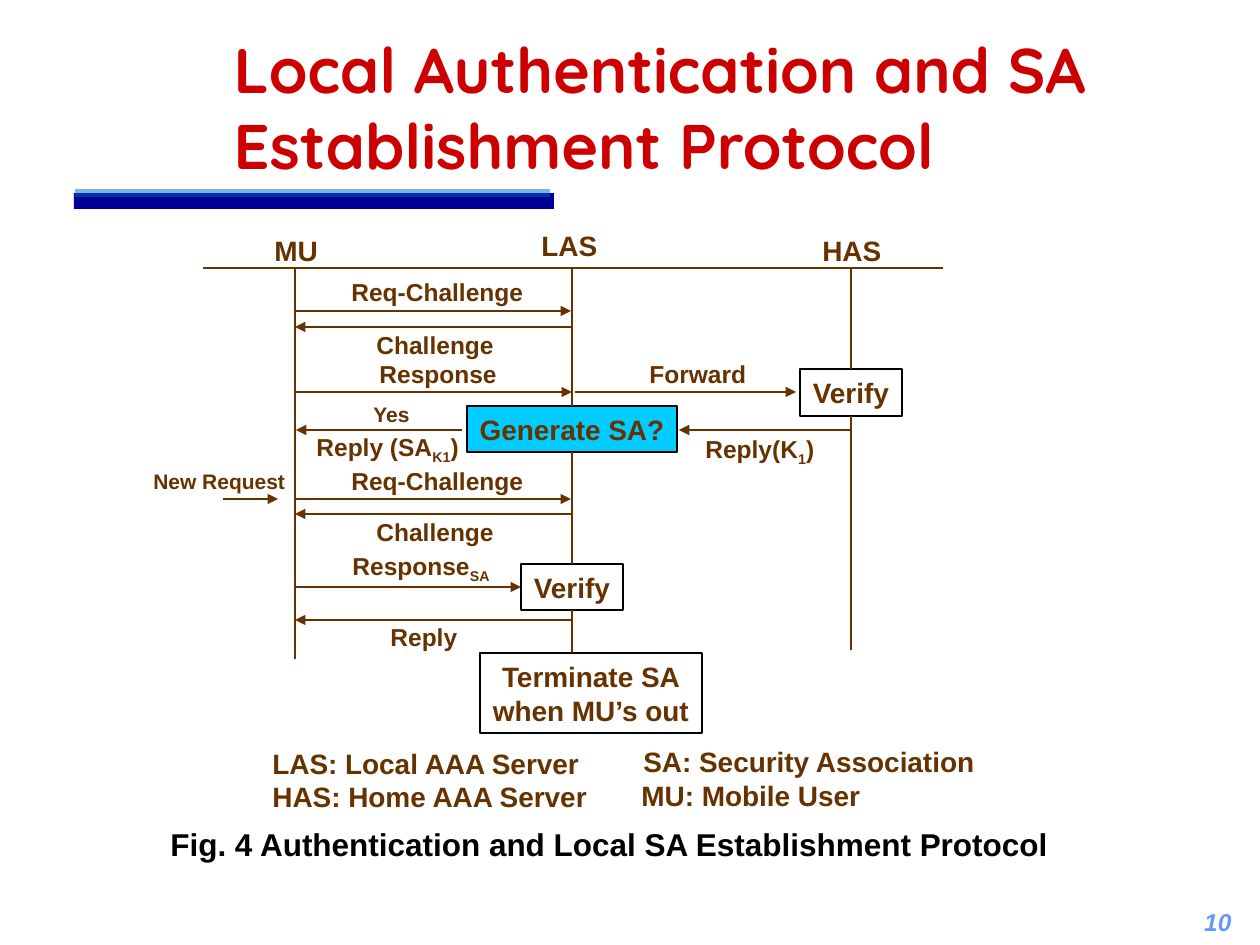
from lxml import etree
from pptx import Presentation
from pptx.dml.color import RGBColor
from pptx.enum.shapes import MSO_CONNECTOR, MSO_SHAPE
from pptx.enum.text import MSO_ANCHOR, MSO_AUTO_SIZE, PP_ALIGN
from pptx.oxml.ns import qn
from pptx.util import Pt

STRAIGHT = MSO_CONNECTOR.STRAIGHT
RECTANGLE = MSO_SHAPE.RECTANGLE
BOTTOM, MIDDLE = MSO_ANCHOR.BOTTOM, MSO_ANCHOR.MIDDLE
FIT, FIXED = MSO_AUTO_SIZE.SHAPE_TO_FIT_TEXT, MSO_AUTO_SIZE.NONE
LEFT, CENTER, RIGHT = PP_ALIGN.LEFT, PP_ALIGN.CENTER, PP_ALIGN.RIGHT

RED = RGBColor(0xCC, 0x00, 0x00)
BROWN = RGBColor(0x66, 0x33, 0x00)
BLACK = RGBColor(0x00, 0x00, 0x00)
CYAN = RGBColor(0x00, 0xCC, 0xFF)
NAVY = RGBColor(0x00, 0x00, 0x99)
BLUE = RGBColor(0x00, 0x66, 0xCC)
PALE_BLUE = RGBColor(0x66, 0x99, 0xFF)

EMU_PER_PX = 914400 / 126
SIDE_TOP, SIDE_LEFT, SIDE_BOTTOM = 0, 1, 2
MU, LAS, HAS = 295, 572, 851
HEADER_Y = 268

TITLE = "Local Authentication and SA Establishment Protocol"
CAPTION = "Fig. 4 Authentication and Local SA Establishment Protocol"
PAGE_NUMBER = "10"

RULES = [
    ((74, 193, 480, 16), NAVY, None),
    ((75, 189, 475, 8), BLUE, 50),
]

# (text, subscript, rest), left, top, width, height, size
LABELS = [
    (("MU",), 262, 227, 72, 47, 16),
    (("LAS",), 529, 222, 84, 47, 16),
    (("HAS",), 810, 227, 88, 47, 16),
    (("Req-Challenge",), 339, 271, 201, 43, 14),
    (("Challenge",), 364, 324, 147, 43, 14),
    (("Response",), 367, 353, 147, 43, 14),
    (("Forward",), 637, 353, 126, 43, 14),
    (("Yes",), 361, 395, 66, 38, 12),
    (("Reply (SA", "K1", ")"), 304, 426, 172, 47, 14),
    (("Reply(K", "1", ")"), 693, 428, 138, 47, 14),
    (("New Request",), 141, 462, 161, 38, 12),
    (("Req-Challenge",), 339, 460, 201, 43, 14),
    (("Challenge",), 364, 511, 147, 43, 14),
    (("Response", "SA"), 340, 545, 167, 47, 14),
    (("Reply",), 378, 616, 96, 43, 14),
    (("LAS: Local AAA Server",), 260, 740, 338, 47, 16),
    (("HAS: Home AAA Server",), 260, 773, 345, 47, 16),
    (("SA: Security Association",), 631, 738, 361, 47, 16),
    (("MU: Mobile User",), 629, 772, 248, 47, 16),
]

BOXES = {
    "generate": (["Generate SA?"], 572, 406, 210, 46, CYAN),
    "home verify": (["Verify"], 851, 369, 102, 47, None),
    "local verify": (["Verify"], 572, 564, 102, 46, None),
    "terminate": (["Terminate SA", "when MU’s out"], 591, 653, 222, 80, None),
}

# x from, x to, y
MESSAGES = [
    (MU, 571, 311),
    (LAS, MU, 327),
    (MU, LAS, 392),
    (575, 796, 392),
    (HAS, 679, 430),
    (462, 296, 430),
    (MU, 571, 499),
    (223, 278, 499),
    (LAS, MU, 514),
    (LAS, MU, 620),
]

# x, top, bottom, box above, box below
LIFELINES = [
    (MU, HEADER_Y, 659, None, None),
    (LAS, HEADER_Y, 406, None, "generate"),
    (LAS, 452, 564, "generate", "local verify"),
    (LAS, 610, 653, "local verify", None),
    (HAS, HEADER_Y, 369, None, "home verify"),
    (HAS, 416, 650, "home verify", None),
]


def px(*lengths):
    return [round(length * EMU_PER_PX) for length in lengths]


def style(paragraph, size, color, align=LEFT):
    paragraph.alignment = align
    font = paragraph.font
    font.name, font.size, font.bold = "Arial", Pt(size), True
    font.color.rgb = color


def add_label(slide, pieces, left, top, width, height, size, color=BROWN,
              align=LEFT):
    label = slide.shapes.add_textbox(*px(left, top, width, height))
    frame = label.text_frame
    frame.word_wrap, frame.auto_size = False, FIT
    paragraph = frame.paragraphs[0]
    style(paragraph, size, color, align)
    for position, piece in enumerate(pieces):
        run = paragraph.add_run()
        run.text = piece
        if position == 1:
            run._r.get_or_add_rPr().set("baseline", "-25000")
    return label


def add_rectangle(slide, bounds, fill):
    rectangle = slide.shapes.add_shape(RECTANGLE, *px(*bounds))
    rectangle.shadow.inherit = False
    if fill is None:
        rectangle.fill.background()
    else:
        rectangle.fill.solid()
        rectangle.fill.fore_color.rgb = fill
    return rectangle


def add_rule(slide, bounds, color, opacity):
    rule = add_rectangle(slide, bounds, color)
    rule.line.fill.background()
    if opacity:
        tint = rule._element.spPr.find(".//" + qn("a:srgbClr"))
        etree.SubElement(tint, qn("a:alpha"), val=str(opacity * 1000))


def add_box(slide, lines, middle, top, width, height, fill):
    box = add_rectangle(slide, (middle - width / 2, top, width, height), fill)
    box.line.color.rgb, box.line.width = BLACK, Pt(1)
    frame = box.text_frame
    frame.word_wrap, frame.auto_size = False, FIT
    frame.text = "\n".join(lines)
    for paragraph in frame.paragraphs:
        style(paragraph, 16, BROWN, CENTER)
    return box


def add_line(slide, x1, y1, x2, y2, arrow=False):
    line = slide.shapes.add_connector(STRAIGHT, *px(x1, y1, x2, y2))
    line.line.color.rgb, line.line.width = BROWN, Pt(1)
    if arrow:
        etree.SubElement(line.line._get_or_add_ln(), qn("a:tailEnd"), type="triangle")
    etree.SubElement(line._element.spPr, qn("a:effectLst"))
    return line


def main():
    deck = Presentation()
    deck.slide_width, deck.slide_height = px(1260, 945)
    slide = deck.slides.add_slide(deck.slide_layouts[5])

    for rule in RULES:
        add_rule(slide, *rule)

    title = slide.shapes.title
    title.left, title.top, title.width, title.height = px(221, 52, 955, 136)
    title.text_frame.text = TITLE
    title.text_frame.vertical_anchor = BOTTOM
    title.text_frame.auto_size = FIXED
    style(title.text_frame.paragraphs[0], 36, RED)
    title.text_frame.paragraphs[0].font.name = "Quicksand"

    boxes = {name: add_box(slide, *box) for name, box in BOXES.items()}

    add_line(slide, 203, HEADER_Y, 943, HEADER_Y)
    for x, top, bottom, above, below in LIFELINES:
        lifeline = add_line(slide, x, top, x, bottom)
        if above:
            lifeline.begin_connect(boxes[above], SIDE_BOTTOM)
        if below:
            lifeline.end_connect(boxes[below], SIDE_TOP)

    for start, end, y in MESSAGES:
        add_line(slide, start, y, end, y, arrow=True)
    response = add_line(slide, MU, 587, 521, 587, arrow=True)
    response.end_connect(boxes["local verify"], SIDE_LEFT)

    for label in LABELS:
        add_label(slide, *label)
    add_label(slide, (CAPTION,), 158, 819, 909, 50, 18, BLACK)

    number = add_label(slide, (PAGE_NUMBER,), 1160, 898, 84, 47, 14, PALE_BLUE, RIGHT)
    number.text_frame.word_wrap, number.text_frame.auto_size = True, FIXED
    number.text_frame.vertical_anchor = MIDDLE
    number.text_frame.paragraphs[0].font.italic = True

    deck.save("out.pptx")


if __name__ == "__main__":
    main()
